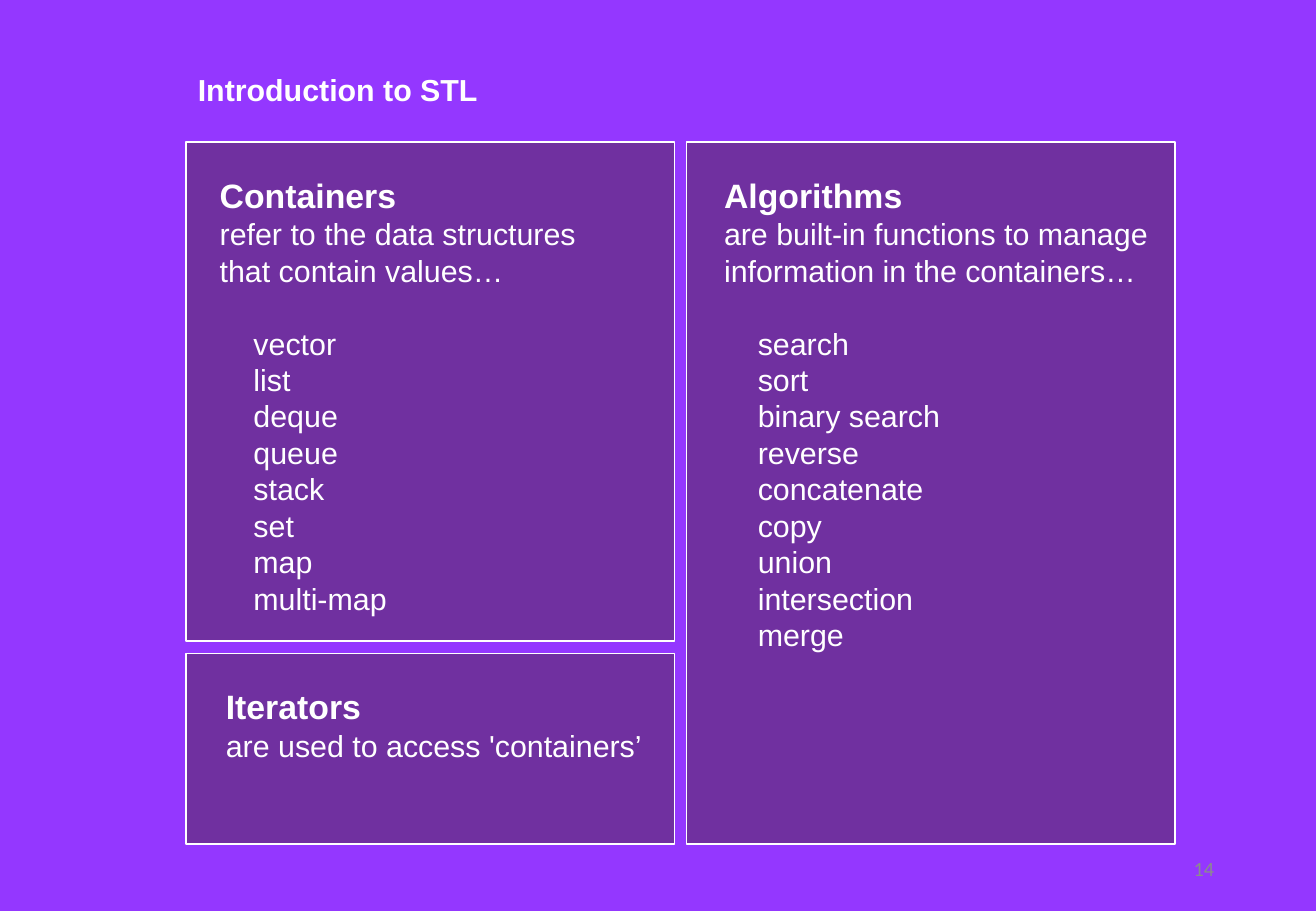
import pptx
import pptx.util
import pptx.dml.color
import pptx.enum.shapes
import pptx.enum.text
from dataclasses import dataclass

In, Pt = pptx.util.Inches, pptx.util.Pt
RGB = pptx.dml.color.RGBColor.from_string


@dataclass(frozen=True)
class Theme:
    background: str = "9437FF"
    panel: str = "7030A0"
    text: str = "FFFFFF"
    muted: str = "8C8C8C"
    font: str = "Arial"
    number_font: str = "Calibri"
    heading: int = 20
    body: int = 18
    number: int = 12


THEME = Theme()
WIDTH, HEIGHT = 10.83, 7.5
LEFT, TOP, BOTTOM = 1.53, 1.17, 6.95
COLUMN, GAP = 4.02, 0.1
CONTAINERS_HEIGHT = 4.11
ITEM_INDENT = 20


def add_text_box(s, box, wrap=True):
    tf = s.shapes.add_textbox(*map(In, box)).text_frame
    tf.word_wrap = wrap
    return tf


def write(p, text, size, bold=False, color=THEME.text, font=THEME.font):
    p.text = text
    p.font.size, p.font.bold, p.font.name = Pt(size), bold, font
    p.font.color.rgb = RGB(color)


def add_panel(s, box, inset, heading, description, items=()):
    """Framed box with a heading, description lines and an indented list."""
    left, top, width, height = box
    frame = s.shapes.add_shape(pptx.enum.shapes.MSO_SHAPE.RECTANGLE, *map(In, box))
    frame.shadow.inherit = False
    frame.fill.solid()
    frame.fill.fore_color.rgb = RGB(THEME.panel)
    frame.line.color.rgb = RGB(THEME.text)
    frame.line.width = Pt(1)

    tf = add_text_box(s, (left + inset, top + 0.22, width - inset - 0.1, height - 0.43))
    write(tf.paragraphs[0], heading, THEME.heading, bold=True)
    for line in description:
        write(tf.add_paragraph(), line, THEME.body)
    for i, item in enumerate(items):
        p = tf.add_paragraph()
        p._p.get_or_add_pPr().set("marL", str(Pt(ITEM_INDENT)))
        if i == 0:
            p.space_before = Pt(THEME.body * 1.2)
        write(p, item, THEME.body)


def add_title(s, text):
    tf = add_text_box(s, (LEFT, 0.54, 2.53, 0.4), wrap=False)
    write(tf.paragraphs[0], text, THEME.body, bold=True)


def add_slide_number(s, number):
    tf = add_text_box(s, (7.65, BOTTOM, 2.44, 0.4))
    tf.vertical_anchor = pptx.enum.text.MSO_ANCHOR.MIDDLE
    p = tf.paragraphs[0]
    p.alignment = pptx.enum.text.PP_ALIGN.RIGHT
    write(p, number, THEME.number, color=THEME.muted, font=THEME.number_font)


def add_stl_slide(prs):
    s = prs.slides.add_slide(prs.slide_layouts[6])
    s.background.fill.solid()
    s.background.fill.fore_color.rgb = RGB(THEME.background)
    add_title(s, "Introduction to STL")
    add_slide_number(s, "14")

    iterators_top = TOP + CONTAINERS_HEIGHT + GAP
    add_panel(
        s, (LEFT + COLUMN + GAP, TOP, COLUMN, BOTTOM - TOP), 0.21, "Algorithms",
        ["are built-in functions to manage information in the containers…"],
        ["search", "sort", "binary search", "reverse", "concatenate", "copy",
         "union", "intersection", "merge"])
    add_panel(
        s, (LEFT, TOP, COLUMN, CONTAINERS_HEIGHT), 0.18, "Containers",
        ["refer to the data structures", "that contain values…"],
        ["vector", "list", "deque", "queue", "stack", "set", "map", "multi-map"])
    add_panel(
        s, (LEFT, iterators_top, COLUMN, BOTTOM - iterators_top), 0.23, "Iterators",
        ["are used to access 'containers’"])


def main():
    prs = pptx.Presentation()
    prs.slide_width, prs.slide_height = In(WIDTH), In(HEIGHT)
    add_stl_slide(prs)
    prs.save("out.pptx")


if __name__ == "__main__":
    main()
